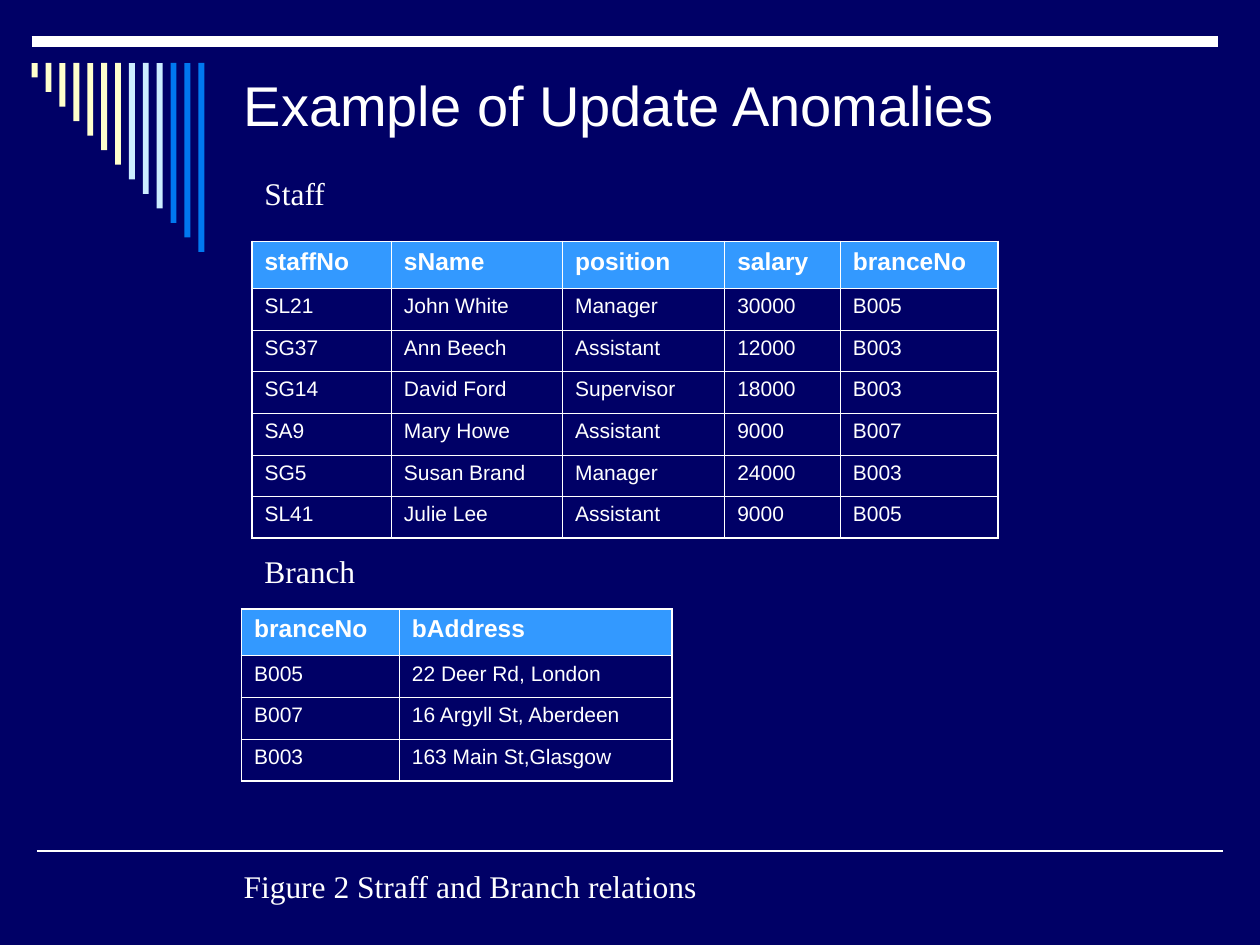
from lxml.etree import SubElement
from pptx import Presentation
from pptx.dml.color import RGBColor
from pptx.enum.shapes import MSO_CONNECTOR, MSO_SHAPE
from pptx.enum.text import MSO_ANCHOR, PP_ALIGN
from pptx.oxml.ns import qn
from pptx.util import Cm, Pt

NAVY = RGBColor(0x00, 0x00, 0x66)
WHITE = RGBColor(0xFF, 0xFF, 0xFF)
CREAM = RGBColor(0xFF, 0xFF, 0xCC)
PALE_BLUE = RGBColor(0xCC, 0xEC, 0xFF)
BLUE = RGBColor(0x00, 0x78, 0xF0)
HEADER_BLUE = RGBColor(0x33, 0x99, 0xFF)
INNER_BORDER = Pt(0.45)
OUTER_BORDER = Pt(1.08)


def format_text(frame, font_name, size, bold=False):
    for paragraph in frame.paragraphs:
        paragraph.alignment = PP_ALIGN.LEFT
        for span in paragraph.runs:
            span.font.name = font_name
            span.font.size = Pt(size)
            span.font.bold = bold
            span.font.color.rgb = WHITE


def add_relation(left, top, widths, rows):
    heights = [0.94] + [0.84] * (len(rows) - 1)
    table = page.shapes.add_table(
        len(rows), len(widths), Cm(left), Cm(top), Cm(sum(widths)), Cm(sum(heights))
    ).table
    table.first_row = False
    table.horz_banding = False
    for column, width in zip(table.columns, widths):
        column.width = Cm(width)
    for row_index, values in enumerate(rows):
        table.rows[row_index].height = Cm(heights[row_index])
        is_header = row_index == 0
        for column_index, value in enumerate(values):
            cell = table.cell(row_index, column_index)
            cell.text_frame.text = value
            format_text(cell.text_frame, "Arial", 14 if is_header else 12, is_header)
            outer_edges = {
                "a:lnL": column_index == 0,
                "a:lnR": column_index == len(widths) - 1,
                "a:lnT": is_header,
                "a:lnB": row_index == len(rows) - 1,
            }
            properties = cell._tc.get_or_add_tcPr()
            for tag, is_outer in outer_edges.items():
                width = OUTER_BORDER if is_outer else INNER_BORDER
                border = SubElement(properties, qn(tag), w=str(int(width)))
                fill = SubElement(border, qn("a:solidFill"))
                SubElement(fill, qn("a:srgbClr"), val=str(WHITE))
            if is_header:
                cell.fill.solid()
                cell.fill.fore_color.rgb = HEADER_BLUE
            else:
                cell.fill.background()


deck = Presentation()
deck.slide_width = Cm(25.4)
deck.slide_height = Cm(19.05)
page = deck.slides.add_slide(deck.slide_layouts[5])
page.background.fill.solid()
page.background.fill.fore_color.rgb = NAVY

for start, end, height, weight in [(0.74, 24.66, 17.15, 1), (0.64, 24.56, 0.84, 6)]:
    rule = page.shapes.add_connector(
        MSO_CONNECTOR.STRAIGHT, Cm(start), Cm(height), Cm(end), Cm(height)
    )
    rule.line.color.rgb = WHITE
    rule.line.width = Pt(weight)
    SubElement(rule._element.spPr, qn("a:effectLst"))

stripe_colors = [CREAM] * 7 + [PALE_BLUE] * 3 + [BLUE] * 3
for index, color in enumerate(stripe_colors):
    stripe = page.shapes.add_shape(
        MSO_SHAPE.RECTANGLE,
        Cm(0.64 + 0.28 * index),
        Cm(1.27),
        Cm(0.12),
        Cm(3.81 * (index + 1) / len(stripe_colors)),
    )
    stripe.shadow.inherit = False
    stripe.fill.solid()
    stripe.fill.fore_color.rgb = color
    stripe.line.fill.background()

title = page.shapes.title
title.left, title.top, title.width, title.height = Cm(4.66), Cm(1.5), Cm(19.48), Cm(1.2)
title.text_frame.text = "Example of Update Anomalies"
title.text_frame.vertical_anchor = MSO_ANCHOR.MIDDLE
format_text(title.text_frame, "Arial", 32)

staff_rows = [
    ("staffNo", "sName", "position", "salary", "branceNo"),
    ("SL21", "John White", "Manager", "30000", "B005"),
    ("SG37", "Ann Beech", "Assistant", "12000", "B003"),
    ("SG14", "David Ford", "Supervisor", "18000", "B003"),
    ("SA9", "Mary Howe", "Assistant", "9000", "B007"),
    ("SG5", "Susan Brand", "Manager", "24000", "B003"),
    ("SL41", "Julie Lee", "Assistant", "9000", "B005"),
]
branch_rows = [
    ("branceNo", "bAddress"),
    ("B005", "22 Deer Rd, London"),
    ("B007", "16 Argyll St, Aberdeen"),
    ("B003", "163 Main St,Glasgow"),
]
add_relation(5.08, 4.87, [2.81, 3.45, 3.27, 2.33, 3.18], staff_rows)
add_relation(4.87, 12.28, [3.18, 5.5], branch_rows)

labels = [
    ("Figure 2 Straff and Branch relations", 4.66, 17.36, 11.85),
    ("Staff", 5.08, 3.39, 1.8),
    ("Branch", 5.08, 11.01, 2.75),
]
for text, left, top, width in labels:
    box = page.shapes.add_textbox(Cm(left), Cm(top), Cm(width), Cm(1.02))
    box.text_frame.word_wrap = True
    box.text_frame.text = text
    format_text(box.text_frame, "Times New Roman", 18)

deck.save("out.pptx")
